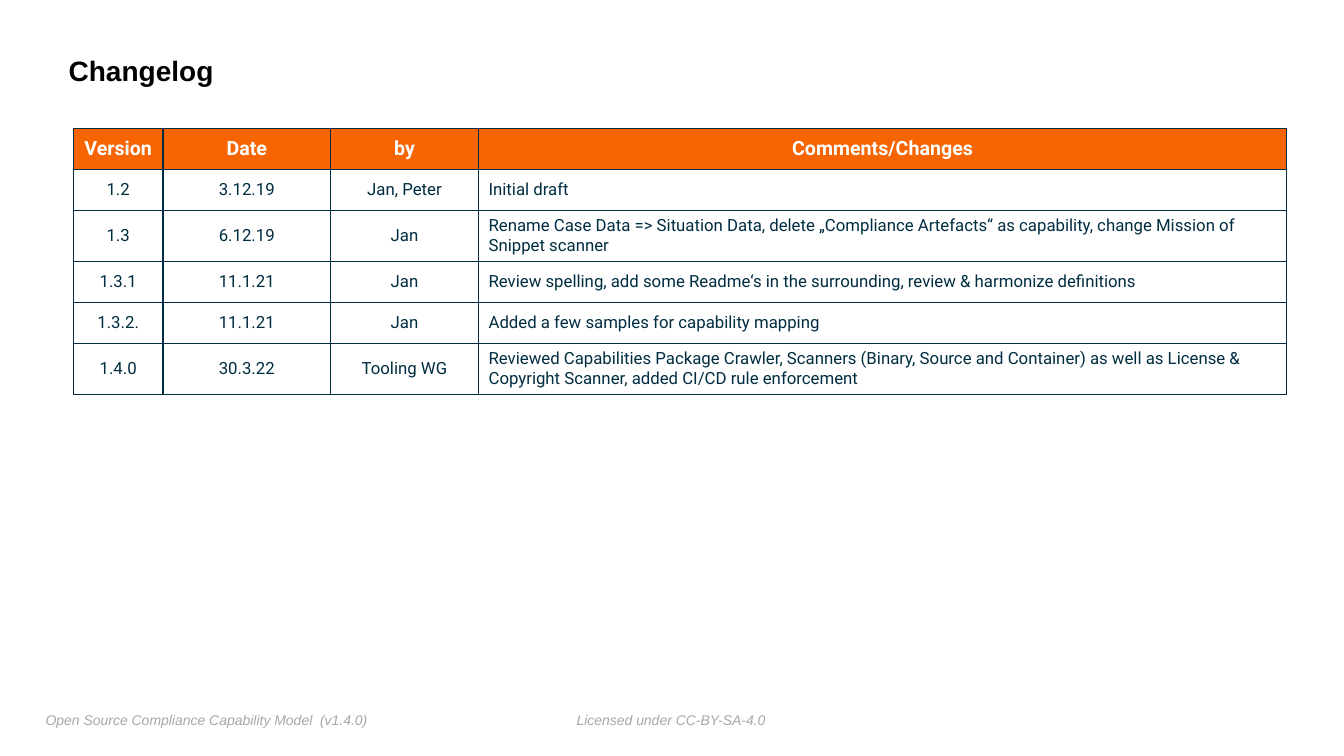
from pptx import Presentation
from pptx.dml.color import RGBColor
from pptx.enum.text import MSO_ANCHOR as Anchor, MSO_AUTO_SIZE as Fit, PP_ALIGN as Align
from pptx.oxml import parse_xml
from pptx.oxml.ns import nsdecls
from pptx.util import Cm, Pt

BLACK = RGBColor(0x00, 0x00, 0x00)
WHITE = RGBColor(0xFF, 0xFF, 0xFF)
GREY = RGBColor(0xA7, 0xA7, 0xA7)
NAVY = RGBColor(0x00, 0x2D, 0x41)
ORANGE = RGBColor(0xF7, 0x65, 0x03)

PAD = Cm(0.13)
ROW = Cm(1.04)
COLS = [Cm(2.26), Cm(4.22), Cm(3.73), Cm(20.37)]
LOG = [
    ("Version", "Date", "by", "Comments/Changes"),
    ("1.2", "3.12.19", "Jan, Peter", "Initial draft"),
    ("1.3", "6.12.19", "Jan",
     "Rename Case Data => Situation Data, delete „Compliance Artefacts“ "
     "as capability, change Mission of Snippet scanner"),
    ("1.3.1", "11.1.21", "Jan",
     "Review spelling, add some Readme‘s in the surrounding, "
     "review & harmonize definitions"),
    ("1.3.2.", "11.1.21", "Jan", "Added a few samples for capability mapping"),
    ("1.4.0", "30.3.22", "Tooling WG",
     "Reviewed Capabilities Package Crawler, Scanners (Binary, Source and Container) "
     "as well as License & Copyright Scanner, added CI/CD rule enforcement"),
]


def style(para, name, size, color, bold=False, italic=False):
    for run in para.runs:
        font = run.font
        font.name, font.size = name, Pt(size)
        font.bold, font.italic = bold, italic
        font.color.rgb = color


def inset(frame):
    frame.margin_left = frame.margin_right = PAD
    frame.margin_top = frame.margin_bottom = PAD


def add_title(slide, text):
    title = slide.shapes.title
    title.left, title.top = Cm(1.6), Cm(0.99)
    title.width, title.height = Cm(27.3), Cm(1.65)
    frame = title.text_frame
    frame.text = text
    frame.word_wrap = True
    frame.vertical_anchor = Anchor.MIDDLE
    inset(frame)
    para = frame.paragraphs[0]
    para.alignment, para.line_spacing = Align.LEFT, 0.9
    style(para, "Arial", 20, BLACK, bold=True)


def add_note(slide, text, left, width):
    box = slide.shapes.add_textbox(left, Cm(17.8), width, Cm(0.66))
    frame = box.text_frame
    frame.text = text
    frame.word_wrap = False
    frame.auto_size = Fit.SHAPE_TO_FIT_TEXT
    inset(frame)
    style(frame.paragraphs[0], "Arial", 10, GREY, italic=True)


def add_edges(cell):
    props = cell._tc.get_or_add_tcPr()
    for side in ("lnL", "lnR", "lnT", "lnB"):
        props.append(parse_xml(
            f'<a:{side} {nsdecls("a")} w="{Pt(1)}"><a:solidFill>'
            f'<a:srgbClr val="{NAVY}"/></a:solidFill></a:{side}>'))


def fill_cell(cell, text, head, center):
    cell.text = text
    cell.vertical_anchor = Anchor.MIDDLE
    add_edges(cell)
    para = cell.text_frame.paragraphs[0]
    para.alignment = Align.CENTER if center else Align.LEFT
    if head:
        cell.fill.solid()
        cell.fill.fore_color.rgb = ORANGE
        style(para, "Roboto", 14, WHITE, bold=True)
    else:
        cell.fill.background()
        style(para, "Roboto", 12, NAVY)


def add_log(slide, rows):
    frame = slide.shapes.add_table(len(rows), len(COLS), Cm(1.85), Cm(3.23),
                                   sum(COLS), ROW * len(rows))
    table = frame.table
    table.horz_banding = False
    for col, width in zip(table.columns, COLS):
        col.width = width
    for r, texts in enumerate(rows):
        table.rows[r].height = ROW
        for c, text in enumerate(texts):
            head = r == 0
            fill_cell(table.cell(r, c), text, head, head or c < len(COLS) - 1)


def main():
    deck = Presentation()
    deck.slide_width, deck.slide_height = Cm(33.87), Cm(19.05)
    slide = deck.slides.add_slide(deck.slide_layouts[5])

    # Footer
    add_note(slide, "Licensed under CC-BY-SA-4.0", Cm(14.4), Cm(5.05))
    add_note(slide, "Open Source Compliance Capability Model  (v1.4.0)", Cm(1.02), Cm(8.43))

    # Heading and version table
    add_title(slide, "Changelog")
    add_log(slide, LOG)

    deck.save("out.pptx")


if __name__ == "__main__":
    main()
